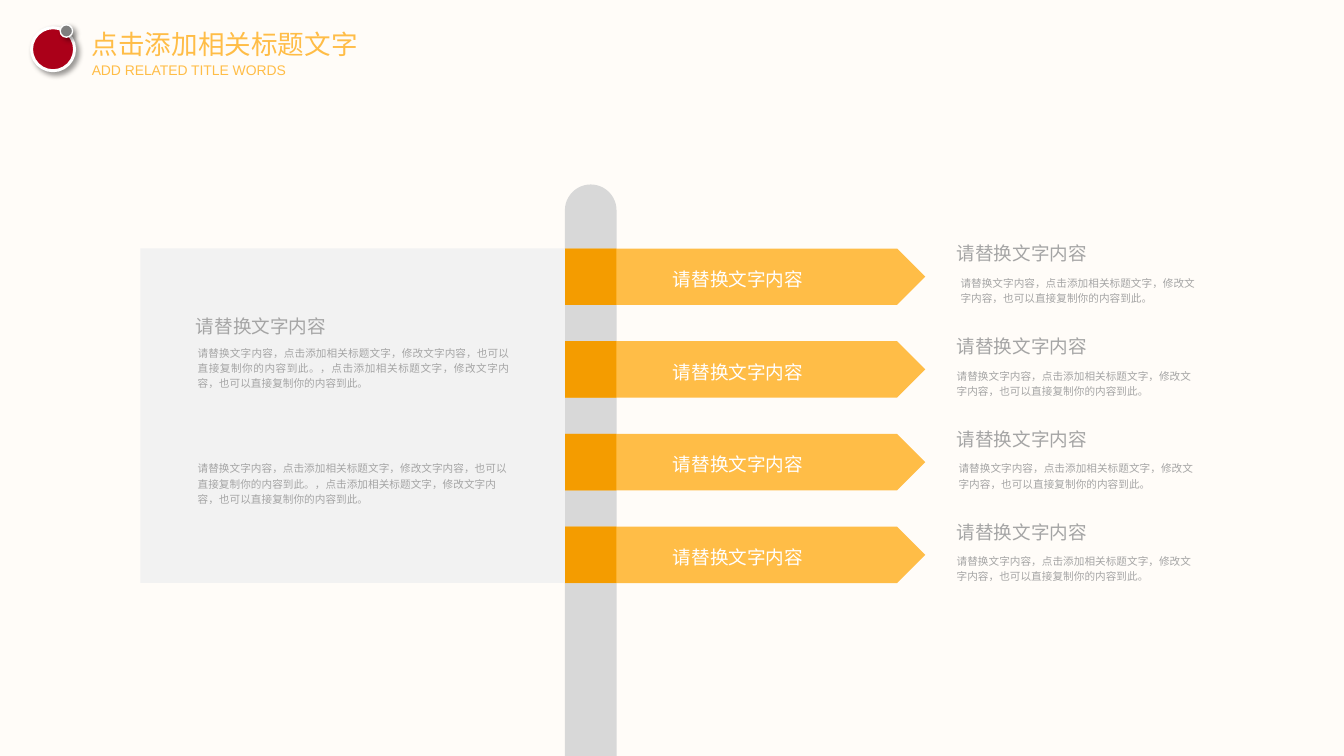
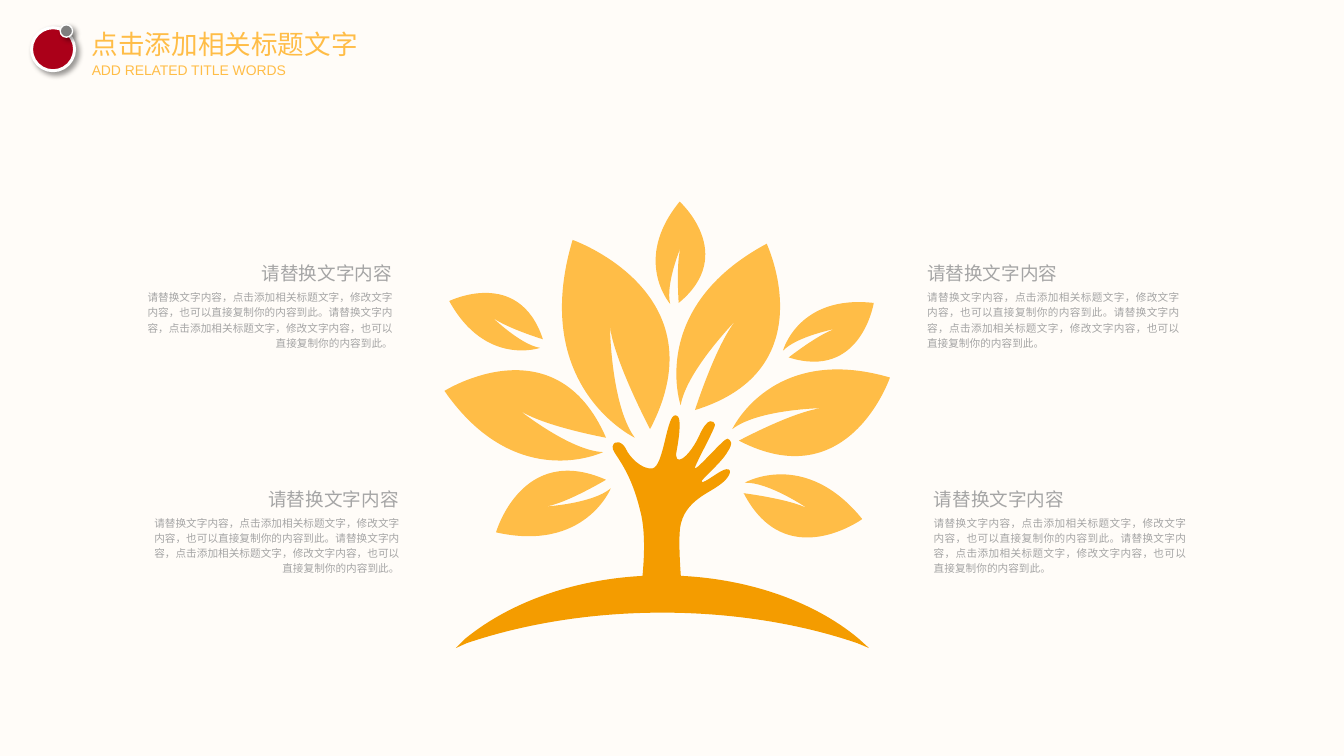
import math
from dataclasses import dataclass

from lxml import etree
from pptx import Presentation
from pptx import util as u
from pptx.dml.color import RGBColor
from pptx.enum import shapes as kinds, text as txt
from pptx.oxml import ns

Inches = u.Inches
SHAPE = kinds.MSO_SHAPE
ALIGN = txt.PP_ALIGN


# Theme
@dataclass(frozen=True)
class Theme:
    background: str = "FFFCF8"
    amber: str = "FFBD47"
    orange: str = "F49C00"
    red: str = "AB0019"
    dot: str = "7F7F7F"
    pole: str = "D8D8D8"
    panel: str = "F2F2F2"
    grey: str = "A5A5A5"
    white: str = "FFFFFF"
    shadow: str = "000000"
    font: str = "Arial"
    title: float = 20
    subtitle: float = 10.5
    heading: float = 14
    body: float = 8
    spacing: float = 1.2


THEME = Theme()

# Wording
TITLE = "点击添加相关标题文字"
SUBTITLE = "ADD RELATED TITLE WORDS"
HEADING = "请替换文字内容"
CLAUSE = "，点击添加相关标题文字，修改文字内容，也可以直接复制你的内容到此。"
SHORT_BODY = HEADING + CLAUSE
PANEL_BODY = SHORT_BODY + CLAUSE
LONG_BODY = SHORT_BODY * 2

# Leaves: frame, turn in degrees, then start and control/end of four curves
LEAVES = [
    ((4.7, 3.38, 1.76, 1.75), 31.4,
     [(6.31, 4.73), (5.4, 5.17), (4.65, 4.09), (5.81, 3.36), (6.34, 4.58),
      (5.68, 4.46), (5.43, 4.29), (5.97, 4.72), (6.31, 4.73)]),
    ((5.47, 2.46, 2.13, 2.13), 82.7,
     [(6.64, 4.58), (5.53, 4.05), (5.99, 2.51), (7.55, 3.06), (6.8, 4.49),
      (6.42, 3.77), (6.38, 3.41), (6.39, 4.24), (6.64, 4.58)]),
    ((6.79, 2.58, 1.88, 1.87), 128.3,
     [(7.12, 4.24), (6.77, 3.22), (8.02, 2.55), (8.64, 3.87), (7.27, 4.29),
      (7.49, 3.6), (7.7, 3.35), (7.18, 3.88), (7.12, 4.24)]),
    ((7.66, 3.54, 1.71, 1.7), 172.4,
     [(7.66, 4.49), (8.08, 3.59), (9.31, 3.95), (8.88, 5.21), (7.73, 4.61),
      (8.31, 4.3), (8.6, 4.27), (7.93, 4.28), (7.66, 4.49)]),
    ((7.71, 4.73, 1.27, 1.26), 207.3,
     [(7.79, 5.05), (8.42, 4.69), (9.02, 5.43), (8.22, 6.01), (7.78, 5.16),
      (8.26, 5.22), (8.45, 5.32), (8.04, 5.04), (7.79, 5.05)]),
    ((5.13, 4.58, 1.27, 1.26), 349.2,
     [(6.39, 5.11), (6.12, 5.78), (5.19, 5.57), (5.46, 4.63), (6.34, 5.02),
      (5.92, 5.27), (5.71, 5.3), (6.2, 5.27), (6.39, 5.11)]),
    ((4.71, 2.78, 1.06, 1.05), 37.4,
     [(5.65, 3.64), (5.08, 3.84), (4.7, 3.15), (5.43, 2.79), (5.68, 3.55),
      (5.29, 3.43), (5.15, 3.32), (5.45, 3.61), (5.65, 3.64)]),
    ((6.64, 2.15, 1.06, 1.05), 105.9,
     [(7.01, 3.18), (6.61, 2.72), (7.11, 2.11), (7.72, 2.66), (7.1, 3.17),
      (7.07, 2.76), (7.12, 2.59), (6.96, 2.97), (7.01, 3.18)]),
    ((8.17, 3, 1.06, 1.05), 162.9,
     [(8.19, 3.67), (8.35, 3.08), (9.14, 3.17), (9.01, 3.98), (8.25, 3.74),
      (8.57, 3.49), (8.74, 3.44), (8.33, 3.52), (8.19, 3.67)]),
]

# Outlines: start, then steps of two numbers (line) or six (curve)
HAND_FRAME = (6.41, 4.34, 1.24, 2)
HAND = [
    (7.08, 4.35),
    (7.13, 4.36, 7.11, 4.55, 7.08, 4.71), (7.04, 4.9, 7.2, 4.8, 7.31, 4.57),
    (7.41, 4.34, 7.47, 4.41, 7.48, 4.44), (7.49, 4.47, 7.26, 4.88, 7.27, 4.9),
    (7.29, 4.92, 7.58, 4.58, 7.61, 4.59), (7.64, 4.6, 7.68, 4.63, 7.61, 4.73),
    (7.55, 4.84, 7.33, 5.02, 7.34, 5.04), (7.36, 5.07, 7.54, 4.91, 7.6, 4.91),
    (7.67, 4.9, 7.64, 5, 7.52, 5.08), (7.4, 5.17, 7.12, 5.26, 7.11, 5.58),
    (7.1, 5.8, 7.13, 6.14, 7.15, 6.33), (7.15, 6.34), (6.68, 6.34), (6.69, 6.29),
    (6.73, 6.01, 6.77, 5.62, 6.7, 5.35), (6.58, 4.85, 6.39, 4.74, 6.41, 4.67),
    (6.43, 4.59, 6.52, 4.63, 6.55, 4.7), (6.58, 4.77, 6.71, 4.92, 6.83, 4.9),
    (6.94, 4.87, 6.97, 4.4, 7.05, 4.35), (7.06, 4.35, 7.07, 4.34, 7.08, 4.35),
]
GROUND_FRAME = (4.77, 6.02, 4.32, 0.75)
GROUND = [
    (6.93, 6.02), (7.76, 6.02, 8.5, 6.28, 8.98, 6.68), (9.09, 6.78), (8.97, 6.73),
    (8.39, 6.53, 7.68, 6.41, 6.93, 6.41), (6.17, 6.41, 5.47, 6.53, 4.88, 6.73),
    (4.77, 6.78), (4.87, 6.68), (5.36, 6.28, 6.1, 6.02, 6.93, 6.02),
]


# Element helpers
def rgb(value):
    return RGBColor.from_string(value)


def paint(shape, fill, line=None, width=0):
    shape.shadow.inherit = False
    shape.fill.solid()
    shape.fill.fore_color.rgb = rgb(fill)
    if line:
        shape.line.color.rgb = rgb(line)
        shape.line.width = u.Pt(width)
    else:
        shape.line.fill.background()


def add_block(container, kind, box, fill, **outline):
    shape = container.add_shape(kind, *map(Inches, box))
    paint(shape, fill, **outline)
    return shape


def write(shape, words, size, color, align=ALIGN.LEFT, spacing=THEME.spacing):
    shape.text_frame.word_wrap = True
    paragraph = shape.text_frame.paragraphs[0]
    paragraph.alignment = align
    paragraph.line_spacing = spacing
    # Keep punctuation inside the right margin
    paragraph._p.get_or_add_pPr().set("hangingPunct", "0")
    run = paragraph.add_run()
    run.text = words
    run.font.size = u.Pt(size)
    run.font.name = THEME.font
    run.font.color.rgb = rgb(color)


def add_text(container, box, words, size, color=THEME.grey, **style):
    textbox = container.add_textbox(*map(Inches, box))
    write(textbox, words, size, color, **style)
    return textbox


def drop_shadow(shape):
    effects = shape._element.spPr.find(ns.qn("a:effectLst"))
    outer = etree.SubElement(effects, ns.qn("a:outerShdw"), blurRad=str(u.Pt(4)),
                             dist=str(u.Pt(3)), dir=str(45 * 60000))
    color = etree.SubElement(outer, ns.qn("a:srgbClr"), val=THEME.shadow)
    etree.SubElement(color, ns.qn("a:alpha"), val="40000")


def add_outline(container, frame, steps, fill, turn=0):
    """Draw lines and curves given in slide inches inside a turned frame."""
    left, top, width, height = frame
    cosine, sine = math.cos(math.radians(turn)), math.sin(math.radians(turn))
    builder = container.build_freeform(Inches(left), Inches(top))
    builder.add_line_segments([(Inches(left + width), Inches(top + height))])
    shape = builder.convert_to_shape()
    outline = shape._element.spPr.find(".//" + ns.qn("a:path"))
    for child in list(outline):
        outline.remove(child)
    for index, step in enumerate(steps):
        name = "a:cubicBezTo" if len(step) == 6 else "a:lnTo" if index else "a:moveTo"
        segment = etree.SubElement(outline, ns.qn(name))
        for x, y in zip(step[::2], step[1::2]):
            across, down = x - left - width / 2, y - top - height / 2
            local_x = across * cosine + down * sine + width / 2
            local_y = down * cosine - across * sine + height / 2
            etree.SubElement(segment, ns.qn("a:pt"), x=str(Inches(local_x)),
                             y=str(Inches(local_y)))
    etree.SubElement(outline, ns.qn("a:close"))
    shape.rotation = turn
    paint(shape, fill)


def add_leaf(container, frame, turn, points):
    curves = [points[i] + points[i + 1] + points[i + 2]
              for i in range(0, len(points) - 1, 2)]
    add_outline(container, frame, points[:1] + curves, THEME.amber, turn)


# Shared slide frame
def add_header(slide):
    lines = [((0.96, 0.29, 2.8, 0.34), TITLE, THEME.title),
             ((0.96, 0.64, 2.08, 0.18), SUBTITLE, THEME.subtitle)]
    for box, words, size in lines:
        frame = add_text(slide.shapes, box, words, size, THEME.amber,
                         spacing=1.0).text_frame
        frame.margin_left = frame.margin_right = 0
        frame.margin_top = frame.margin_bottom = 0
    badges = [((0.33, 0.29, 0.45, 0.45), THEME.red, 2.25),
              ((0.63, 0.26, 0.13, 0.13), THEME.dot, 1)]
    for box, fill, width in badges:
        drop_shadow(add_block(slide.shapes, SHAPE.OVAL, box, fill,
                              line=THEME.white, width=width))


def new_slide(presentation):
    return presentation.slides.add_slide(presentation.slide_layouts[6])


# Signpost slide
def add_banner(slide, top):
    group = slide.shapes.add_group_shape().shapes
    arrow = add_block(group, SHAPE.PENTAGON, (5.91, top, 3.77, 0.59), THEME.amber)
    arrow.text_frame.vertical_anchor = txt.MSO_ANCHOR.MIDDLE
    write(arrow, HEADING, THEME.heading, THEME.white, ALIGN.CENTER)
    add_block(group, SHAPE.RECTANGLE, (5.91, top, 0.54, 0.59), THEME.orange)


def add_banner_note(slide, top, body_left):
    group = slide.shapes.add_group_shape().shapes
    add_text(group, (9.91, top - 0.16, 1.58, 0.36), HEADING, THEME.heading)
    add_text(group, (body_left, top + 0.22, 2.73, 0.42), SHORT_BODY, THEME.body)


def add_panel(slide):
    group = slide.shapes.add_group_shape().shapes
    add_block(group, SHAPE.RECTANGLE, (1.47, 2.6, 4.44, 3.5), THEME.panel)
    add_text(group, (1.95, 3.2, 1.68, 0.36), HEADING, THEME.heading)
    for top, align in ((3.55, ALIGN.JUSTIFY), (4.76, ALIGN.LEFT)):
        add_text(group, (1.97, top, 3.46, 0.59), PANEL_BODY, THEME.body, align=align)


def build_signpost(presentation):
    slide = new_slide(presentation)
    pole = add_block(slide.shapes, SHAPE.ROUND_2_SAME_RECTANGLE,
                     (5.91, 1.93, 0.54, 5.98), THEME.pole)
    pole.adjustments[0], pole.adjustments[1] = 0.5, 0
    for row, body_left in enumerate((9.95, 9.91, 9.93, 9.91)):
        top = 2.6 + row * 2.91 / 3
        add_banner(slide, top)
        add_banner_note(slide, top, body_left)
    add_panel(slide)
    add_header(slide)


# Tree slide
def add_tree(slide):
    group = slide.shapes.add_group_shape().shapes
    add_outline(group, HAND_FRAME, HAND, THEME.orange)
    for leaf in LEAVES:
        add_leaf(group, *leaf)
    add_outline(group, GROUND_FRAME, GROUND, THEME.orange)


def add_tree_note(slide, left, top, align):
    group = slide.shapes.add_group_shape().shapes
    heading_left = left + 1.25 if align == ALIGN.RIGHT else left
    add_text(group, (left, top + 0.32, 2.84, 0.75), LONG_BODY, THEME.body, align=align)
    add_text(group, (heading_left, top, 1.58, 0.36), HEADING, THEME.heading, align=align)


def build_tree(presentation):
    slide = new_slide(presentation)
    add_tree(slide)
    for left, align in ((1.37, ALIGN.RIGHT), (9.6, ALIGN.JUSTIFY)):
        add_tree_note(slide, left, 2.65, align)
        add_tree_note(slide, left + 0.07, 5.01, align)
    add_header(slide)


def main():
    presentation = Presentation()
    presentation.slide_width = Inches(14.06)
    presentation.slide_height = Inches(7.91)
    background = presentation.slide_master.background.fill
    background.solid()
    background.fore_color.rgb = rgb(THEME.background)
    build_signpost(presentation)
    build_tree(presentation)
    presentation.save("out.pptx")


main()
